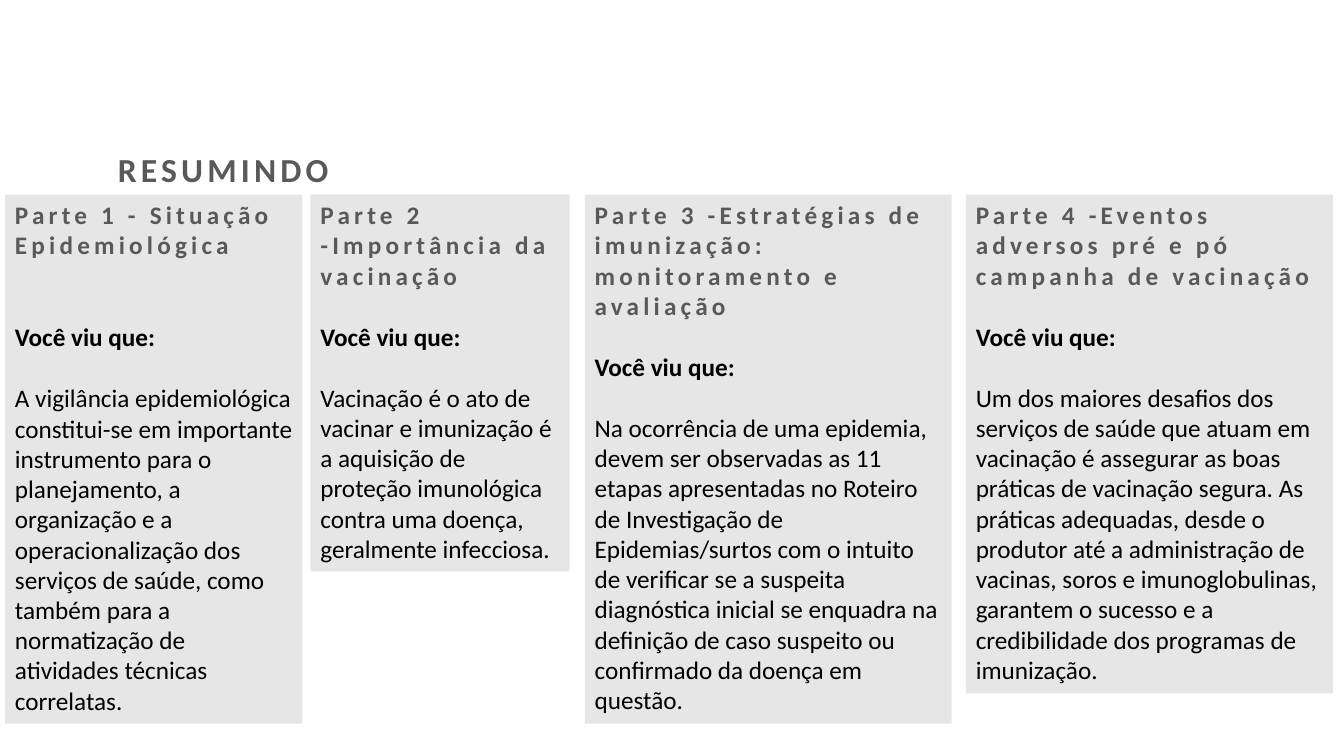
from pptx import Presentation
from pptx.dml.color import RGBColor
from pptx.enum.shapes import MSO_SHAPE
from pptx.enum.text import MSO_ANCHOR, PP_ALIGN
from pptx.util import Inches, Pt

RECTANGLE = MSO_SHAPE.RECTANGLE
TOP = MSO_ANCHOR.TOP
LEFT = PP_ALIGN.LEFT

COLORS = {"heading": "595959", "body": "000000", "panel": "E7E6E6"}
FONT = "Calibri"
BODY_SIZE = 18
BLANK_LINE = 22  # points taken by one line of body text
PANEL_TOP = 1.93

# left, width, height, lines of space after the heading, heading, summary
PARTS = [
    (0.05, 2.95, 5.25, 2, "Parte 1 - Situação Epidemiológica",
     "A vigilância epidemiológica constitui-se em importante instrumento para o "
     "planejamento, a organização e a operacionalização dos serviços de saúde, como "
     "também para a normatização de atividades técnicas correlatas."),
    (3.08, 2.57, 3.74, 1, "Parte 2 -Importância da vacinação",
     "Vacinação é o ato de vacinar e imunização é a aquisição de proteção imunológica "
     "contra uma doença, geralmente infecciosa."),
    (5.8, 3.64, 5.25, 1, "Parte 3 -Estratégias de imunização: monitoramento e avaliação",
     "Na ocorrência de uma epidemia, devem ser observadas as 11 etapas apresentadas no "
     "Roteiro de Investigação de Epidemias/surtos com o intuito de verificar se a "
     "suspeita diagnóstica inicial se enquadra na definição de caso suspeito ou "
     "confirmado da doença em questão."),
    (9.58, 3.64, 4.95, 1, "Parte 4 -Eventos adversos pré e pó campanha de vacinação",
     "Um dos maiores desafios dos serviços de saúde que atuam em vacinação é assegurar "
     "as boas práticas de vacinação segura. As práticas adequadas, desde o produtor até "
     "a administração de vacinas, soros e imunoglobulinas, garantem o sucesso e a "
     "credibilidade dos programas de imunização."),
]


def write(paragraph, text, size=BODY_SIZE, color="body", bold=False, spacing=0,
          space_before=0):
    """Fill a paragraph with one run; spacing is between letters, in points."""
    paragraph.alignment = LEFT
    if space_before:
        paragraph.space_before = Pt(space_before)
    run = paragraph.add_run()
    run.text = text
    run.font.name = FONT
    run.font.size = Pt(size)
    run.font.bold = bold
    run.font.color.rgb = RGBColor.from_string(COLORS[color])
    if spacing:
        run.font._element.set("spc", str(spacing * 100))


def add_title(slide, left, top, width, height):
    text_box = slide.shapes.add_textbox(*map(Inches, (left, top, width, height)))
    text_box.text_frame.word_wrap = True
    write(text_box.text_frame.paragraphs[0], "RESUMINDO", size=24, color="heading",
          bold=True, spacing=3)


def add_part(slide, left, top, width, height, gap_lines, heading, summary):
    panel = slide.shapes.add_shape(RECTANGLE, *map(Inches, (left, top, width, height)))
    panel.shadow.inherit = False
    panel.fill.solid()
    panel.fill.fore_color.rgb = RGBColor.from_string(COLORS["panel"])
    panel.line.fill.background()
    frame = panel.text_frame
    frame.word_wrap = True
    frame.vertical_anchor = TOP
    write(frame.paragraphs[0], heading, color="heading", bold=True, spacing=3)
    write(frame.add_paragraph(), "Você viu que:", bold=True,
          space_before=gap_lines * BLANK_LINE)
    write(frame.add_paragraph(), summary, space_before=BLANK_LINE)


def main():
    presentation = Presentation()
    presentation.slide_width = Inches(13.33)
    presentation.slide_height = Inches(7.5)
    slide = presentation.slides.add_slide(presentation.slide_layouts[6])
    add_title(slide, 1.07, PANEL_TOP - 0.5, 5.32, 0.5)
    for left, width, height, gap_lines, heading, summary in PARTS:
        add_part(slide, left, PANEL_TOP, width, height, gap_lines, heading, summary)
    presentation.save("out.pptx")


if __name__ == "__main__":
    main()
